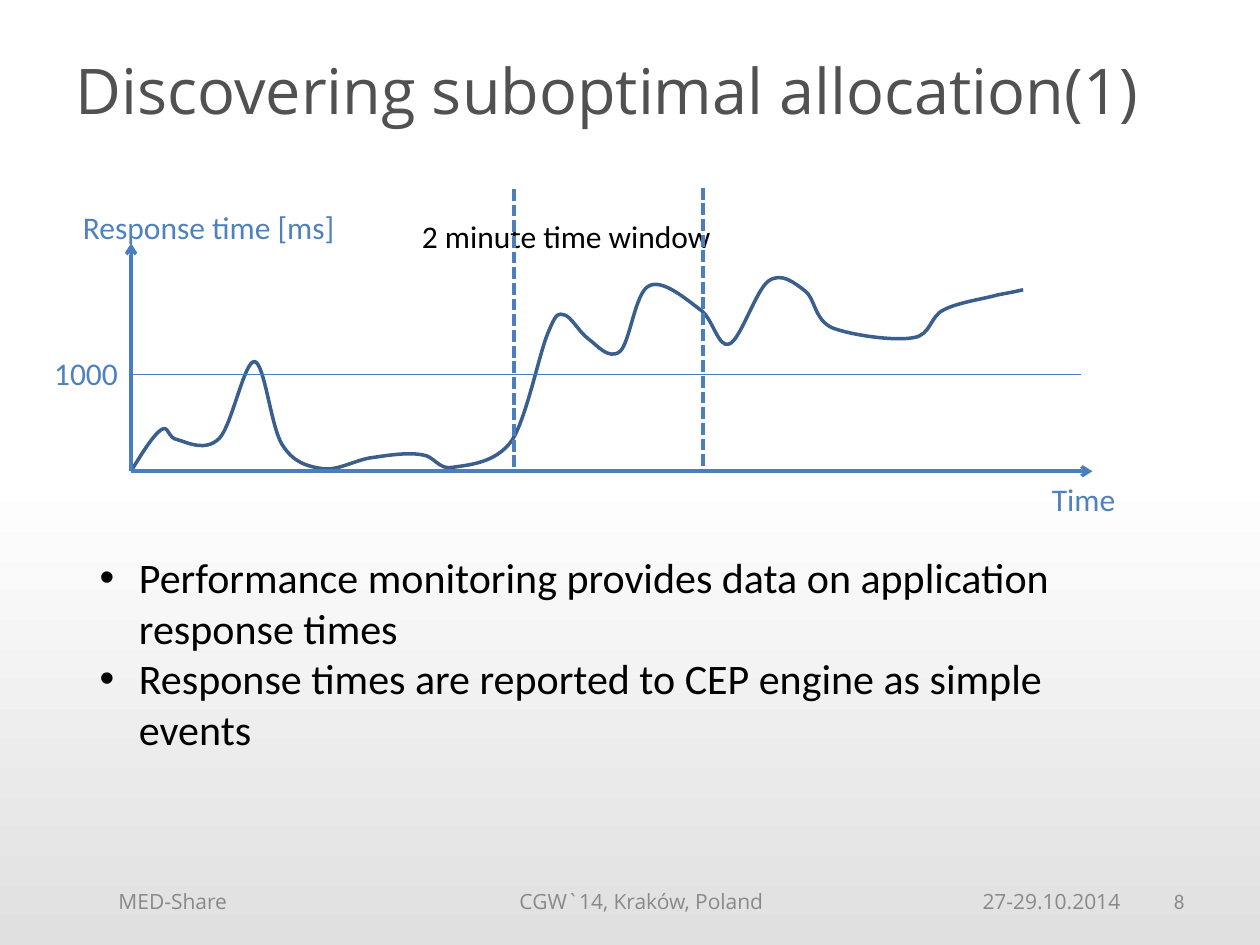
from lxml.etree import SubElement
from pptx import Presentation
from pptx.dml.color import RGBColor
from pptx.enum.dml import MSO_LINE
from pptx.enum.shapes import MSO_CONNECTOR
from pptx.enum.text import MSO_ANCHOR, MSO_AUTO_SIZE, PP_ALIGN
from pptx.oxml.ns import qn
from pptx.util import Pt

AXIS_BLUE = "4B7EBC"
LABEL_BLUE = "4F81BD"
CURVE_BLUE = "3A5F8C"
FOOTER_GRAY = "898989"

# Response time curve in hundredths of an inch:
# each row holds two control points and an end point
CURVE_START = (104, 374)
CURVE_SEGMENTS = [
    [(113, 359), (122, 345), (128, 341)],
    [(134, 337), (133, 348), (141, 349)],
    [(148, 351), (163, 359), (174, 348)],
    [(184, 338), (194, 286), (202, 287)],
    [(210, 288), (215, 339), (224, 353)],
    [(233, 367), (243, 370), (256, 372)],
    [(268, 374), (284, 364), (297, 363)],
    [(310, 361), (325, 359), (335, 361)],
    [(345, 362), (348, 373), (359, 371)],
    [(371, 369), (393, 368), (406, 350)],
    [(418, 332), (428, 280), (435, 264)],
    [(442, 247), (443, 249), (448, 250)],
    [(453, 251), (460, 264), (467, 269)],
    [(474, 274), (483, 286), (492, 279)],
    [(500, 272), (504, 232), (515, 227)],
    [(526, 221), (545, 238), (556, 246)],
    [(566, 253), (570, 277), (579, 273)],
    [(588, 269), (600, 230), (610, 223)],
    [(620, 216), (630, 224), (639, 231)],
    [(647, 237), (646, 253), (660, 260)],
    [(675, 266), (710, 271), (725, 268)],
    [(739, 266), (738, 251), (749, 246)],
    [(760, 240), (782, 237), (792, 234)],
    [(803, 232), (808, 231), (812, 230)],
]


def color(hex_string):
    return RGBColor.from_string(hex_string)


class SlideBuilder:
    def __init__(self, slide, font="Calibri", heading_font="Open Sans"):
        self.slide = slide
        self.font = font
        self.heading_font = heading_font

    def format_text(self, paragraph, size, hex_color, font=None, align=PP_ALIGN.LEFT):
        paragraph.alignment = align
        for run in paragraph.runs:
            run.font.size = Pt(size)
            run.font.name = font or self.font
            run.font.color.rgb = color(hex_color)

    def place(self, shape, left, top, width, height):
        shape.left, shape.top = Pt(left), Pt(top)
        shape.width, shape.height = Pt(width), Pt(height)

    def background(self, top_color, bottom_color):
        fill = self.slide.background.fill
        fill.gradient()
        fill.gradient_angle = 270
        stops = zip(fill.gradient_stops, (0.5, 1), (top_color, bottom_color))
        for stop, position, hex_color in stops:
            stop.position = position
            stop.color.rgb = color(hex_color)

    def title(self, text, *box):
        shape = self.slide.shapes.title
        self.place(shape, *box)
        text_frame = shape.text_frame
        text_frame.text = text
        text_frame.auto_size = MSO_AUTO_SIZE.NONE
        text_frame.vertical_anchor = MSO_ANCHOR.MIDDLE
        self.format_text(text_frame.paragraphs[0], 36, "515151", self.heading_font)

    def bullets(self, items, *box):
        shape = self.slide.placeholders[1]
        self.place(shape, *box)
        text_frame = shape.text_frame
        text_frame.text = "\n".join(items)
        text_frame.auto_size = MSO_AUTO_SIZE.NONE
        for paragraph in text_frame.paragraphs:
            self.format_text(paragraph, 24, "000000")
            paragraph.space_before = Pt(0)
            properties = paragraph._p.get_or_add_pPr()
            properties.set("marL", str(Pt(22.5)))
            properties.set("indent", str(Pt(-22.5)))
            SubElement(properties, qn("a:buFont")).set("typeface", "Arial")
            SubElement(properties, qn("a:buChar")).set("char", "•")

    def label(self, text, left, top, width, hex_color=LABEL_BLUE, size=18,
              wrap=True, align=PP_ALIGN.LEFT, anchor=MSO_ANCHOR.TOP):
        shape = self.slide.shapes.add_textbox(Pt(left), Pt(top), Pt(width), Pt(29))
        text_frame = shape.text_frame
        text_frame.text = text
        text_frame.word_wrap = wrap
        text_frame.vertical_anchor = anchor
        self.format_text(text_frame.paragraphs[0], size, hex_color, align=align)

    def line(self, start, end, width, arrow=False, dash=None):
        connector = self.slide.shapes.add_connector(
            MSO_CONNECTOR.STRAIGHT, *map(Pt, start + end))
        connector.line.color.rgb = color(AXIS_BLUE)
        connector.line.width = Pt(width)
        if dash:
            connector.line.dash_style = dash
        if arrow:
            SubElement(connector.line._get_or_add_ln(), qn("a:tailEnd")).set("type", "arrow")
        SubElement(connector._element.spPr, qn("a:effectLst"))

    def curve(self, start, segments, hex_color, width):
        builder = self.slide.shapes.build_freeform(*start, scale=Pt(0.72))
        builder.add_line_segments([point for row in segments for point in row], close=False)
        shape = builder.convert_to_shape()
        shape.shadow.inherit = False
        shape.fill.background()
        shape.line.color.rgb = color(hex_color)
        shape.line.width = Pt(width)
        # Turn every three straight steps into one cubic curve
        outline = shape._element.find(".//" + qn("a:path"))
        steps = outline.findall(qn("a:lnTo"))
        for index in range(0, len(steps), 3):
            cubic = SubElement(outline, qn("a:cubicBezTo"))
            for step in steps[index:index + 3]:
                cubic.append(step[0])
                outline.remove(step)

    def footer_table(self, texts, widths, left, top, height):
        frame = self.slide.shapes.add_table(
            1, len(widths), Pt(left), Pt(top), Pt(sum(widths)), Pt(height))
        table = frame.table
        table.first_row = table.horz_banding = False
        # Table style without fill or grid
        style = table._tbl.tblPr.find(qn("a:tableStyleId"))
        style.text = "{2D5ABB26-0587-4C30-8999-92F81FD0307C}"
        for index, width in enumerate(widths):
            table.columns[index].width = Pt(width)
            cell = table.cell(0, index)
            cell.fill.background()
            cell.vertical_anchor = MSO_ANCHOR.MIDDLE
            cell.text_frame.text = texts[index]
            self.format_text(cell.text_frame.paragraphs[0], 12, FOOTER_GRAY,
                             self.heading_font,
                             PP_ALIGN.RIGHT if index else PP_ALIGN.LEFT)


def main():
    presentation = Presentation()
    presentation.slide_width, presentation.slide_height = Pt(720), Pt(540)
    slide = presentation.slides.add_slide(presentation.slide_layouts[1])
    builder = SlideBuilder(slide)
    builder.background("FFFFFF", "E0E0E0")

    # Footer
    builder.footer_table(["MED-Share", "CGW`14, Kraków, Poland", "27-29.10.2014", ""],
                         [77, 306, 204, 37.5], 60.5, 500.4, 29.5)
    builder.label("8", 527.8, 500.4, 156.2, "8C8C8C", 12,
                  align=PP_ALIGN.RIGHT, anchor=MSO_ANCHOR.MIDDLE)

    # Response time diagram
    origin = (74.9, 269.3)
    threshold = 213.9
    builder.curve(CURVE_START, CURVE_SEGMENTS, CURVE_BLUE, 2)
    builder.line(origin, (origin[0], 139), 2, arrow=True)
    builder.line(origin, (624.2, origin[1]), 2, arrow=True)
    builder.line((origin[0], threshold), (617.8, threshold), 0.75)
    builder.label("1000", 23.8, 198.7, 51, wrap=False)
    builder.label("Response time [ms]", 40.3, 115.2, 160, wrap=False)
    builder.label("Time", 594, 270.9, 66)

    # Title and list
    builder.title("Discovering suboptimal allocation(1)", 36, 18.7, 648, 64.8)
    builder.bullets(["Performance monitoring provides data on application response times",
                     "Response times are reported to CEP engine as simple events"],
                    49.7, 311.8, 592.6, 145.4)

    # Two minute window
    builder.label("2 minute time window", 234, 120.4, 210, "000000")
    for x, top in ((293.8, 108), (401.8, 107.3)):
        builder.line((x, top), (x, top + 161.3), 2.25, dash=MSO_LINE.SQUARE_DOT)

    presentation.save("out.pptx")


if __name__ == "__main__":
    main()
